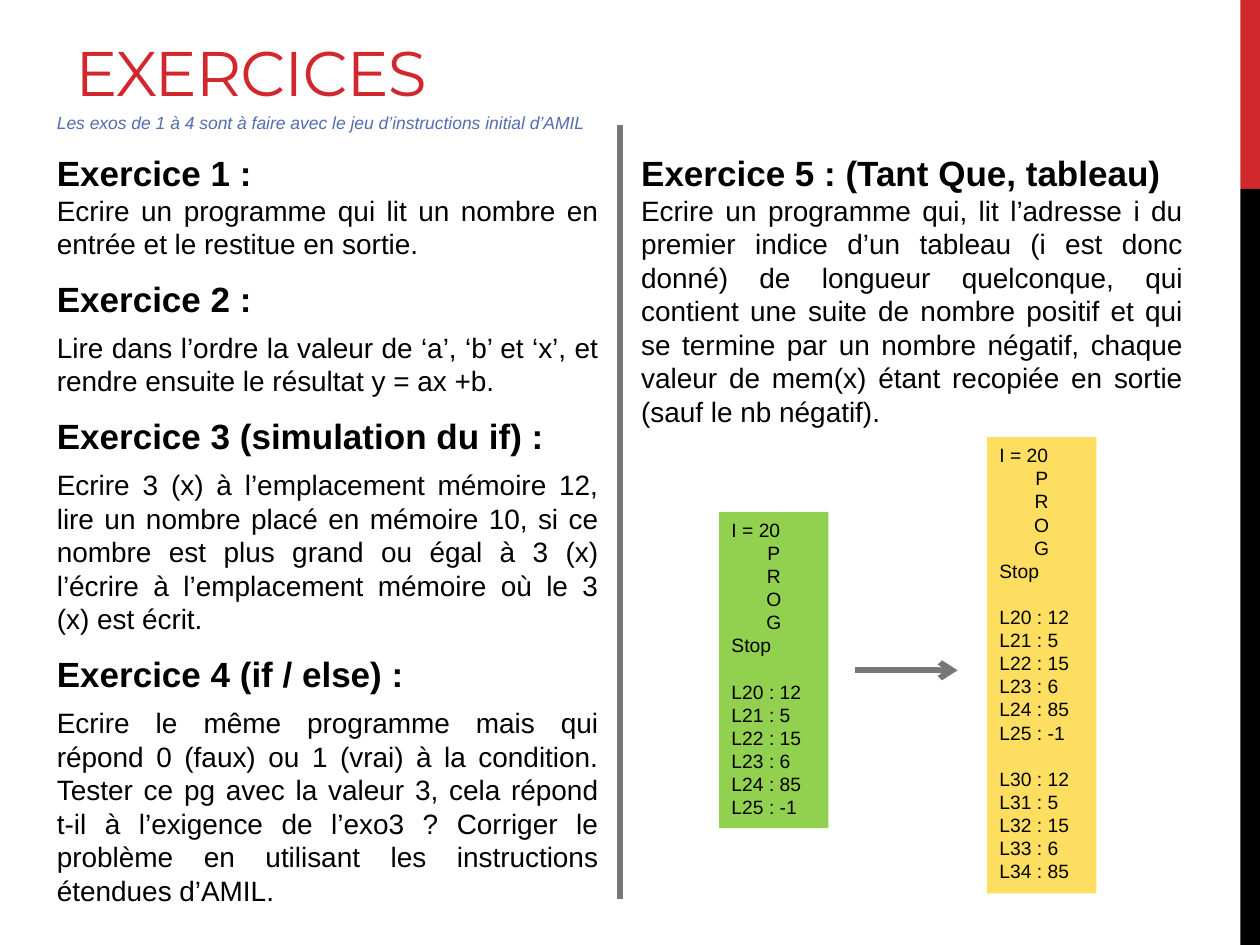
from lxml import etree
from pptx import Presentation
from pptx.dml.color import RGBColor
from pptx.enum.lang import MSO_LANGUAGE_ID
from pptx.enum.shapes import MSO_CONNECTOR, MSO_SHAPE
from pptx.enum.text import MSO_ANCHOR, PP_ALIGN
from pptx.oxml.ns import qn
from pptx.util import Pt

RECT = MSO_SHAPE.RECTANGLE
STRAIGHT = MSO_CONNECTOR.STRAIGHT
FRENCH = MSO_LANGUAGE_ID.FRENCH
LEFT, CENTER, JUSTIFY = PP_ALIGN.LEFT, PP_ALIGN.CENTER, PP_ALIGN.JUSTIFY
TOP, BOTTOM = MSO_ANCHOR.TOP, MSO_ANCHOR.BOTTOM
rgb = RGBColor.from_string
RED, BLACK, GREY, BLUE = "D1282E", "000000", "777777", "526DB0"

prs = Presentation()
prs.slide_width, prs.slide_height = Pt(720), Pt(540)
slide = prs.slides.add_slide(prs.slide_layouts[6])
shapes = slide.shapes


def add_block(left, top, width, height, lines, fill=None, anchor=TOP):
    """Lines are (text, size, colour, bold, align, space before, space after)."""
    if fill:
        block = shapes.add_shape(RECT, Pt(left), Pt(top), Pt(width), Pt(height))
        block.shadow.inherit = False
        block.fill.solid()
        block.fill.fore_color.rgb = rgb(fill)
        block.line.fill.background()
    else:
        block = shapes.add_textbox(Pt(left), Pt(top), Pt(width), Pt(height))
    frame = block.text_frame
    frame.word_wrap = True
    frame.vertical_anchor = anchor
    for i, (text, size, colour, bold, align, before, after) in enumerate(lines):
        p = frame.add_paragraph() if i else frame.paragraphs[0]
        p.text = text
        p.alignment = align
        p.space_before, p.space_after = Pt(before), Pt(after)
        p.font.name, p.font.size, p.font.bold = "Arial", Pt(size), bold
        p.font.color.rgb = rgb(colour)
        p.runs[0].font.language_id = FRENCH
    return frame


def add_line(x1, y1, x2, y2, width):
    line = shapes.add_connector(STRAIGHT, Pt(x1), Pt(y1), Pt(x2), Pt(y2))
    line.line.color.rgb = rgb(GREY)
    line.line.width = Pt(width)
    etree.SubElement(line._element.spPr, qn("a:effectLst"))
    return line


# Side band
for top, height, colour in [(0, 108, RED), (108, 432, BLACK)]:
    add_block(708.75, top, 11.25, height, [], colour)

# Title
title = add_block(36, 11.7, 624, 54,
                  [("EXERCICES", 36, RED, False, LEFT, 0, 0)], anchor=BOTTOM)
title.paragraphs[0].font.name = "Montserrat"
title.paragraphs[0].runs[0].font._element.set("spc", "-60")

# Exercises in two columns
left_column = [
    ("Exercice 1 :",
     "Ecrire un programme qui lit un nombre en entrée et le restitue en sortie."),
    ("Exercice 2 :",
     "Lire dans l’ordre la valeur de ‘a’, ‘b’ et ‘x’, et rendre ensuite le "
     "résultat y = ax +b."),
    ("Exercice 3 (simulation du if) :",
     "Ecrire 3 (x) à l’emplacement mémoire 12, lire un nombre placé en mémoire 10, "
     "si ce nombre est plus grand ou égal à 3 (x) l’écrire à l’emplacement mémoire "
     "où le 3 (x) est écrit."),
    ("Exercice 4 (if / else) :",
     "Ecrire le même programme mais qui répond 0 (faux) ou 1 (vrai) à la condition. "
     "Tester ce pg avec la valeur 3, cela répond t-il à l’exigence de l’exo3 ? "
     "Corriger le problème en utilisant les instructions étendues d’AMIL."),
]
right_column = [
    ("Exercice 5 : (Tant Que, tableau)",
     "Ecrire un programme qui, lit l’adresse i du premier indice d’un tableau (i est "
     "donc donné) de longueur quelconque, qui contient une suite de nombre positif et "
     "qui se termine par un nombre négatif, chaque valeur de mem(x) étant recopiée en "
     "sortie (sauf le nb négatif)."),
]
for left, exercises in [(25.4, left_column), (359.28, right_column)]:
    lines = []
    for i, (heading, task) in enumerate(exercises):
        lines.append((heading, 20, BLACK, True, LEFT, 4, 6 if i else 0))
        lines.append((task, 16, BLACK, False, JUSTIFY, 0, 6))
    add_block(left, 82.8, 323.7, 436.32, lines)

# Column divider
add_line(354.24, 71.28, 354.24, 513.8, 3)

# Remark under the title
remark = add_block(25.4, 60.48, 323.28, 19.44, [
    ("Les exos de 1 à 4 sont à faire avec le jeu d’instructions initial d’AMIL",
     10, BLUE, False, LEFT, 0, 0)])
remark.paragraphs[0].font.italic = True

# Memory before and after the program
program = ["I = 20", "P", "R", "O", "G", "Stop"]
table = ["L20 : 12", "L21 : 5", "L22 : 15", "L23 : 6", "L24 : 85", "L25 : -1"]
output = ["L30 : 12", "L31 : 5", "L32 : 15", "L33 : 6", "L34 : 85"]
memories = [
    (410.9, 292.5, 180.72, "92D050", [program, table]),
    (564, 249.84, 260.64, "FEDE61", [program, table, output]),
]
for left, top, height, fill, groups in memories:
    lines = []
    for g, group in enumerate(groups):
        for i, text in enumerate(group):
            gap = 13.2 if g and i == 0 else 0
            align = CENTER if len(text) == 1 else LEFT
            lines.append((text, 11, BLACK, False, align, gap, 0))
    add_block(left, top, 62.5, height, lines, fill)

# Arrow from one memory to the other
arrow = add_line(488.6, 383.04, 547.2, 383.04, 3.25)
etree.SubElement(arrow.line._get_or_add_ln(), qn("a:tailEnd"), type="arrow")

prs.save("out.pptx")
